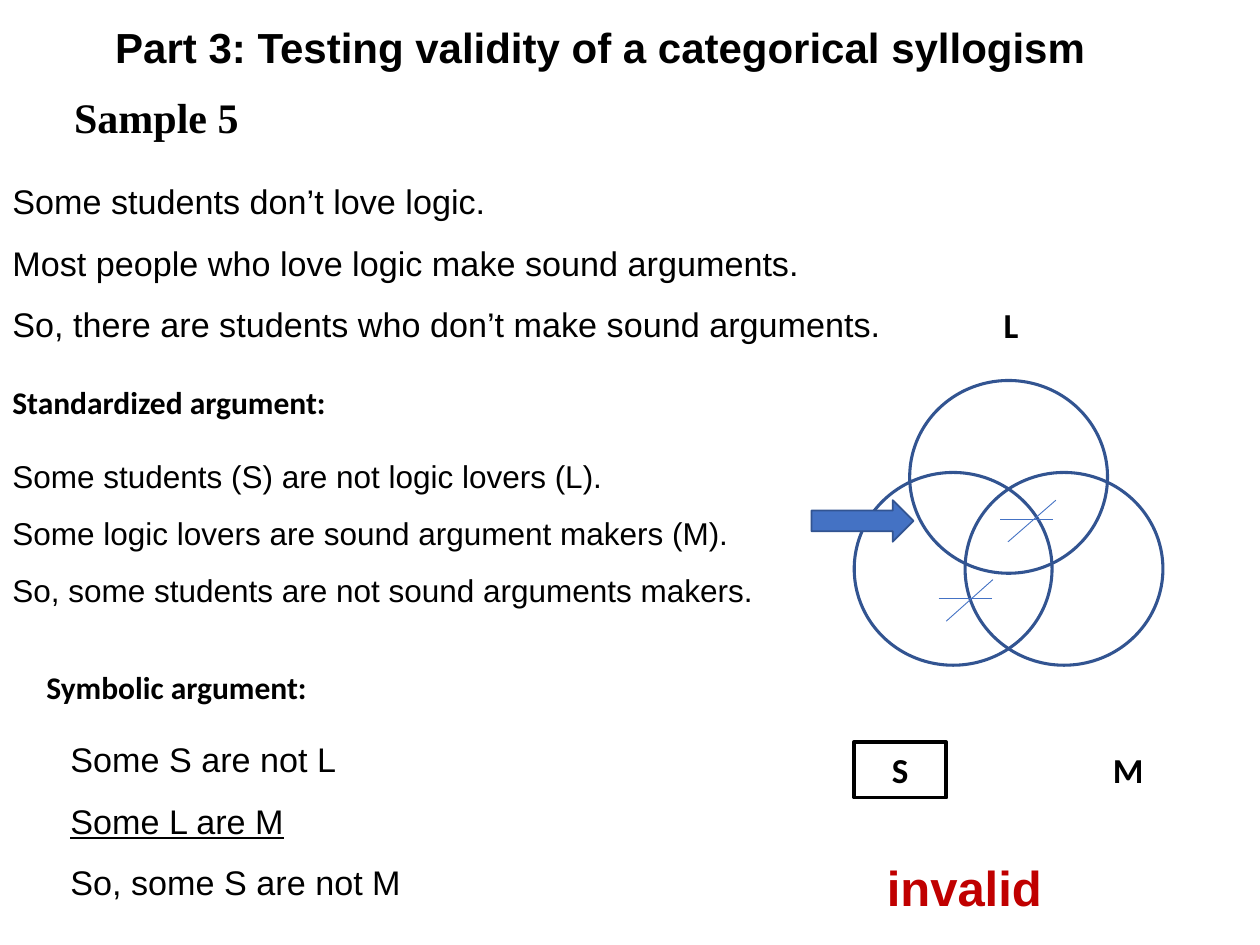
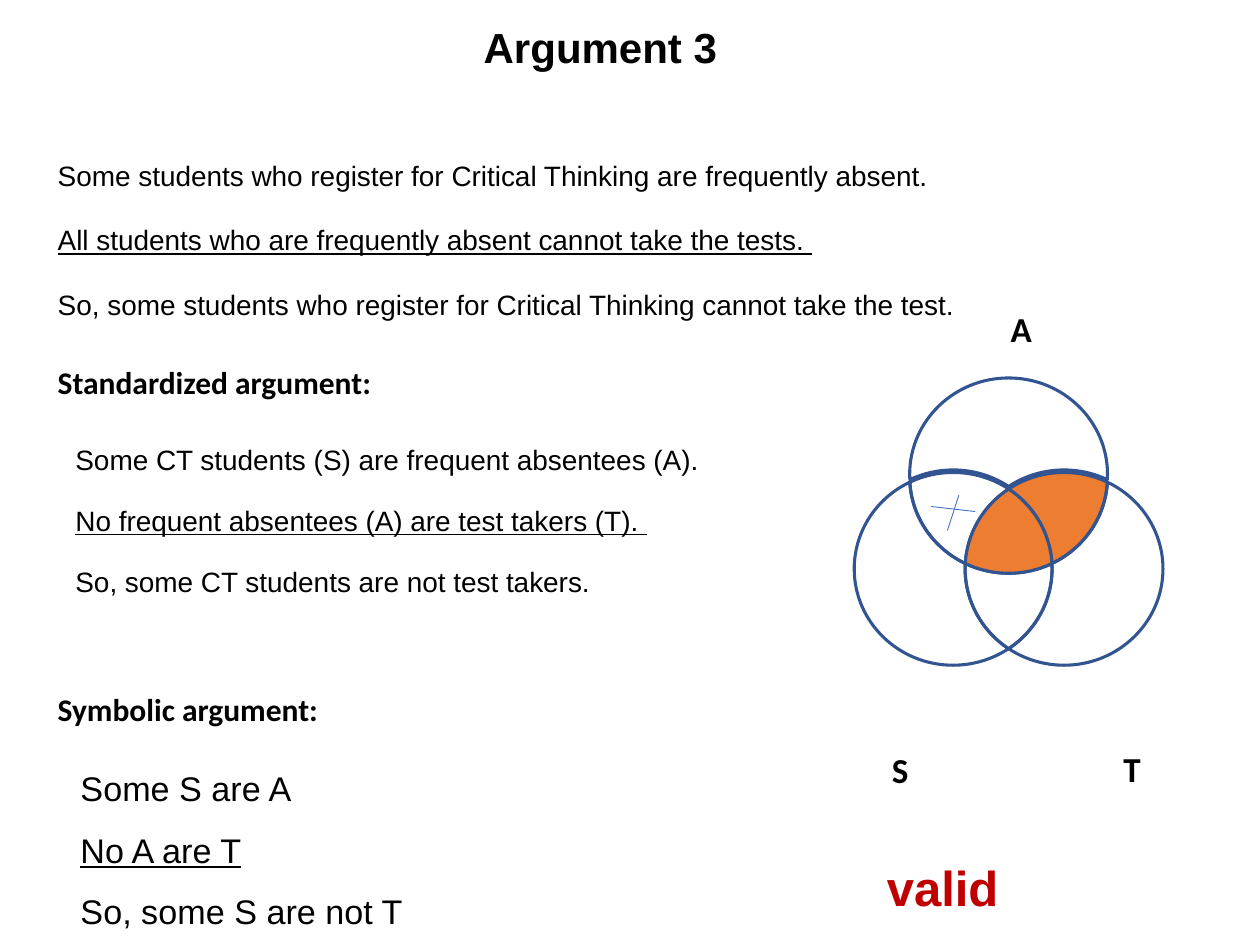
from math import atan2, cos, hypot, pi, radians, sin, sqrt, tan

from lxml import etree
from pptx import Presentation
from pptx.dml.color import RGBColor
from pptx.enum.shapes import MSO_CONNECTOR, MSO_SHAPE
from pptx.enum.text import MSO_AUTO_SIZE, PP_ALIGN
from pptx.oxml.ns import qn
from pptx.util import Inches, Pt

BLACK = RGBColor(0x00, 0x00, 0x00)
RED = RGBColor(0xC0, 0x00, 0x00)
BLUE = RGBColor(0x44, 0x72, 0xC4)
DARK_BLUE = RGBColor(0x32, 0x54, 0x91)
ORANGE = RGBColor(0xED, 0x7D, 0x31)

CENTER = PP_ALIGN.CENTER
GROW = MSO_AUTO_SIZE.SHAPE_TO_FIT_TEXT
OVAL = MSO_SHAPE.OVAL
RIGHT_ARROW = MSO_SHAPE.RIGHT_ARROW
STRAIGHT = MSO_CONNECTOR.STRAIGHT

VENN_LEFT, VENN_TOP = 6.78, 3.02
CIRCLE_W, CIRCLE_H = 1.57, 1.53
RX, RY = CIRCLE_W / 2, CIRCLE_H / 2
STEP_X, STEP_Y = 0.44, 0.73
# Upper-left corner of each circle
CIRCLES = {
    "left": (VENN_LEFT, VENN_TOP + STEP_Y),
    "right": (VENN_LEFT + 2 * STEP_X, VENN_TOP + STEP_Y),
    "top": (VENN_LEFT + STEP_X, VENN_TOP),
}


def add_text(s, box, lines, size, font="Arial", bold=False, color=BLACK,
             align=None, spacing=None, before=0, hanging=0, underlined=None,
             grow=True):
    tb = s.shapes.add_textbox(*map(Inches, box))
    tf = tb.text_frame
    tf.word_wrap = True
    if grow:
        tf.auto_size = GROW
    for i, line in enumerate(lines):
        p = tf.paragraphs[0] if i == 0 else tf.add_paragraph()
        p.text = line
        p.alignment = align
        p.line_spacing = spacing
        if i and before:
            p.space_before = Pt(before)
        if hanging:
            pPr = p._p.get_or_add_pPr()
            pPr.set("marL", str(Inches(hanging)))
            pPr.set("indent", str(-Inches(hanging)))
        p.font.name = font
        p.font.size = Pt(size)
        p.font.bold = bold
        p.font.color.rgb = color
        if i == underlined:
            p.font.underline = True
    return tb


def add_title(s, text):
    add_text(s, (0.05, 0.17, 9.43, 0.56), [text], 24, bold=True,
             align=CENTER, spacing=0.9, grow=False)


def add_heading(s, left, top, text):
    add_text(s, (left, top, 3.14, 0.4), [text], 18, "Calibri", bold=True)


def add_symbolic(s, left, top, lines):
    add_text(s, (left, top, 2.99, 1.52), lines, 19.5, spacing=1.5, underlined=1)


def add_term(s, left, top, letter):
    return add_text(s, (left, top, 0.73, 0.44), [letter], 20, "Calibri",
                    bold=True, align=CENTER)


def add_verdict(s, text):
    add_text(s, (6.94, 6.76, 3.01, 0.57), [text], 28, bold=True, color=RED)


def add_cross(s, *strokes):
    for ends in strokes:
        line = s.shapes.add_connector(STRAIGHT, *map(Inches, ends))
        line.line.color.rgb = BLUE
        line.line.width = Pt(0.5)
        etree.SubElement(line._element.spPr, qn("a:effectLst"))


def style(sp, fill, width=1.75):
    sp.shadow.inherit = False
    if fill is None:
        sp.fill.background()
    else:
        sp.fill.solid()
        sp.fill.fore_color.rgb = fill
    sp.line.color.rgb = DARK_BLUE
    sp.line.width = Pt(width)


def center(circle):
    left, top = CIRCLES[circle]
    return left + RX, top + RY


def crossings(a, b):
    """Return the two points where circles a and b meet, sorted by x, then y."""
    (ax, ay), (bx, by) = center(a), center(b)
    dx, dy = (bx - ax) / RX, (by - ay) / RY
    dist = hypot(dx, dy)
    half = sqrt(1 - dist ** 2 / 4) / dist
    mx, my = (ax + bx) / 2, (ay + by) / 2
    return sorted((mx - k * half * dy * RX, my + k * half * dx * RY)
                  for k in (-1, 1))


def arc(circle, start, end):
    """Bezier points after start, three per curve, split at the quadrants."""
    cx, cy = center(circle)
    a0, a1 = (atan2((y - cy) / RY, (x - cx) / RX) for x, y in (start, end))
    sweep = (a1 - a0) % (2 * pi)
    if sweep > radians(200):  # only the outer arcs exceed a half turn
        sweep -= 2 * pi
    low, high = sorted((a0, a0 + sweep))
    cuts = [n * pi / 2 for n in range(-4, 5) if low < n * pi / 2 < high]
    angles = [a0, *sorted(cuts, reverse=sweep < 0), a0 + sweep]
    points = []
    for a, b in zip(angles, angles[1:]):
        k = 4 / 3 * tan((b - a) / 4)
        points += [(cx + RX * x, cy + RY * y) for x, y in (
            (cos(a) - k * sin(a), sin(a) + k * cos(a)),
            (cos(b) + k * sin(b), sin(b) - k * cos(b)),
            (cos(b), sin(b)))]
    return points


def add_region(s, arcs, fill=None, shift=0):
    points = [arcs[0][1]] + [pt for args in arcs for pt in arc(*args)]
    points = [(Inches(x), Inches(y + shift)) for x, y in points]
    fb = s.shapes.build_freeform(*points[0])
    fb.add_line_segments(points[1:], close=True)
    sp = fb.convert_to_shape()
    segments = list(sp._element.iter(qn("a:lnTo")))
    for curve, *others in zip(segments[::3], segments[1::3], segments[2::3]):
        curve.tag = qn("a:cubicBezTo")
        for other in others:
            curve.append(other[0])
            other.getparent().remove(other)
    style(sp, fill)


def add_circles(s):
    for left, top in CIRCLES.values():
        sp = s.shapes.add_shape(OVAL, *map(Inches, (left, top, CIRCLE_W, CIRCLE_H)))
        style(sp, None)


def add_venn_regions(s):
    """Draw the seven regions, shading what the top and right circles share."""
    west, in_right = crossings("left", "top")
    in_left, east = crossings("right", "top")
    north, south = sorted(crossings("left", "right"), key=lambda pt: pt[1])
    add_region(s, [("right", north, in_left), ("top", in_left, west),
                   ("left", west, north)])
    add_region(s, [("right", north, east), ("top", east, in_right),
                   ("left", in_right, north)], ORANGE)
    add_region(s, [("top", in_left, in_right), ("left", in_right, south),
                   ("right", south, in_left)])
    add_region(s, [("top", west, east), ("right", east, north),
                   ("left", north, west)], shift=-0.02)
    add_region(s, [("right", east, south), ("left", south, in_right),
                   ("top", in_right, east)])
    add_region(s, [("top", west, in_left), ("right", in_left, south),
                   ("left", south, west)])
    add_region(s, [("left", north, in_right), ("top", in_right, in_left),
                   ("right", in_left, north)], ORANGE)


def sample_slide(s):
    add_text(s, (0, 1.22, 7.5, 1.52), [
        "Some students don’t love logic.",
        "Most people who love logic make sound arguments.",
        "So, there are students who don’t make sound arguments.",
    ], 19.5, spacing=1.5)
    add_symbolic(s, 0.46, 5.65, ["Some S are not L", "Some L are M",
                                 "So, some S are not M"])
    add_text(s, (0, 3.43, 6.63, 1.41), [
        "Some students (S) are not logic lovers (L).",
        "Some logic lovers are sound argument makers (M).",
        "So, some students are not sound arguments makers.",
    ], 18, spacing=1.5)
    add_text(s, (0.49, 0.68, 1.69, 0.5), ["Sample 5"], 24, "Times New Roman",
             bold=True)
    add_title(s, "Part 3: Testing validity of a categorical syllogism")
    add_heading(s, 0, 2.99, "Standardized argument:")
    add_heading(s, 0.27, 5.25, "Symbolic argument:")
    add_verdict(s, "invalid")
    add_term(s, 8.59, 5.89, "M")
    subject = add_term(s, 6.78, 5.89, "S")
    subject.line.color.rgb = BLACK
    subject.line.width = Pt(2.25)
    add_circles(s)
    add_term(s, 7.66, 2.36, "L")
    add_cross(s, (7.45, 4.75, 7.87, 4.75), (7.51, 4.93, 7.88, 4.6))
    add_cross(s, (7.94, 4.12, 8.36, 4.12), (8, 4.3, 8.38, 3.97))
    arrow = s.shapes.add_shape(RIGHT_ARROW, *map(Inches, (6.44, 3.97, 0.81, 0.33)))
    style(arrow, BLUE, 1)


def argument_slide(s):
    add_symbolic(s, 0.54, 5.88, ["Some S are A", "No A are T",
                                 "So, some S are not T"])
    add_title(s, "Argument 3")
    add_text(s, (0.5, 3.33, 6.75, 1.19), [
        "Some CT students (S) are frequent absentees (A).",
        "No frequent absentees (A) are test takers (T). ",
        "So, some CT students are not test takers.",
    ], 16, spacing=1.5, before=6, hanging=0.5, underlined=1, grow=False)
    add_heading(s, 0.36, 2.83, "Standardized argument:")
    add_heading(s, 0.36, 5.43, "Symbolic argument:")
    add_text(s, (0.36, 1.05, 7.5, 1.25), [
        "Some students who register for Critical Thinking are frequently absent.",
        "All students who are frequently absent cannot take the tests. ",
        "So, some students who register for Critical Thinking cannot take the test.",
    ], 16, spacing=1.6, before=6, underlined=1, grow=False)
    add_term(s, 8.62, 5.88, "T")
    add_term(s, 6.78, 5.89, "S")
    add_venn_regions(s)
    add_verdict(s, "valid")
    add_term(s, 7.74, 2.39, "A")
    add_cross(s, (7.61, 3.93, 7.52, 4.21), (7.39, 4.02, 7.74, 4.06))


def main():
    prs = Presentation()
    prs.slide_width, prs.slide_height = Inches(10), Inches(7.5)
    for build in (sample_slide, argument_slide):
        build(prs.slides.add_slide(prs.slide_layouts[6]))
    prs.save("out.pptx")


if __name__ == "__main__":
    main()
